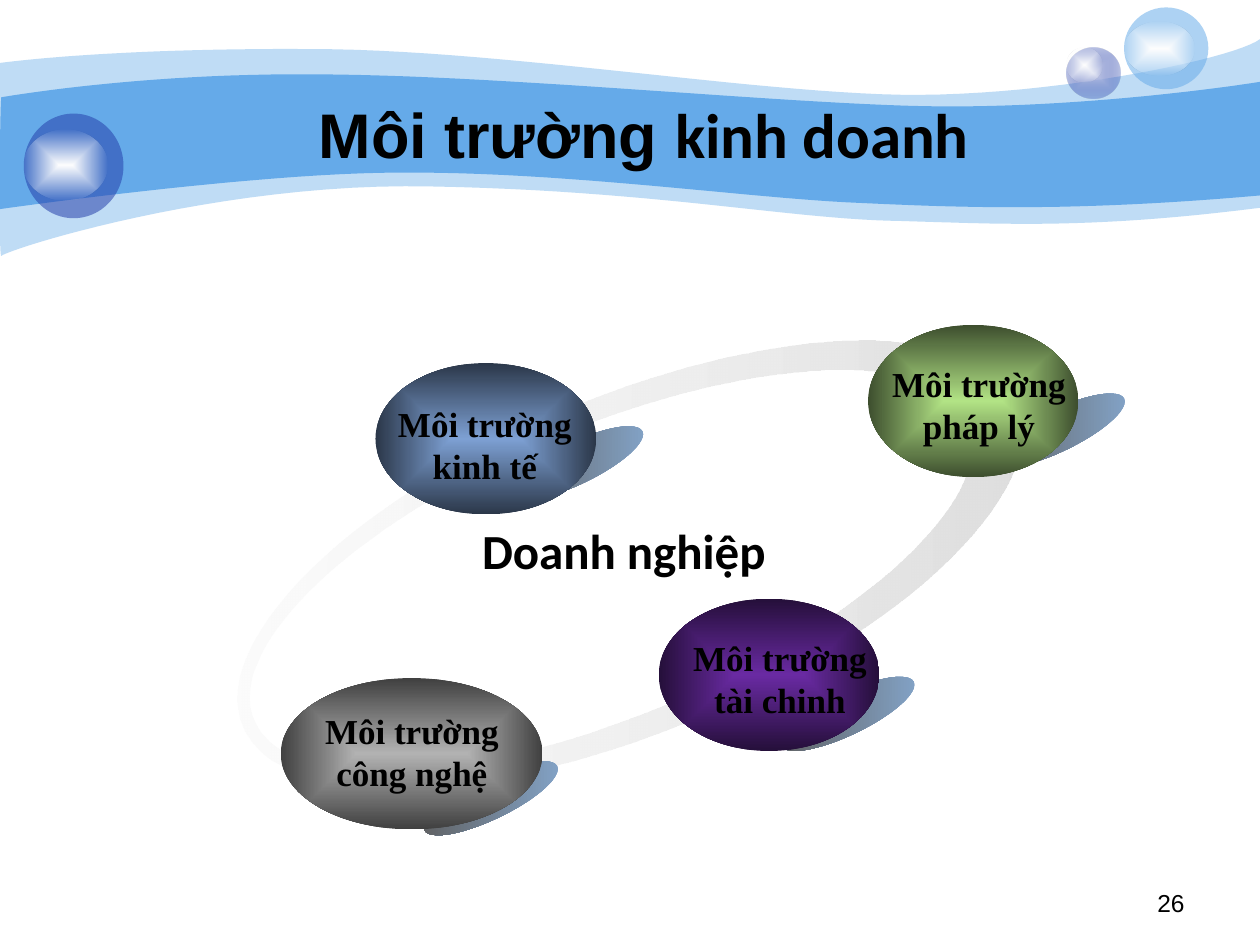
import math
import lxml.etree
import pptx
import pptx.util
import pptx.dml.color
import pptx.enum.shapes
import pptx.enum.text
import pptx.oxml.ns

Cm = pptx.util.Cm
qn = pptx.oxml.ns.qn
ALIGN = pptx.enum.text.PP_ALIGN
ANCHOR = pptx.enum.text.MSO_ANCHOR

HUES = {
    "sky": "65AAE9", "navy": "233DA9", "pale": "C7CEE9", "white": "FFFFFF",
    "ring": "DDDDDD", "mist": "F5F5F5", "steel": "84A5CA", "ash": "5F5F5F",
    "blue": "7DA0D3", "ink": "2B3749", "grey": "B2B2B2", "coal": "404040",
    "plum": "692AA2", "dusk": "250F3A", "lime": "B2E385", "moss": "3D4E2E",
    "black": "000000",
}


def curve(start, *steps):
    """Points along a path; a step is one point (line) or three (Bezier)."""
    dots = [start]
    for step in steps:
        if len(step) == 1:
            dots.append(step[0])
            continue
        quad = (dots[-1],) + step
        for i in range(1, 25):
            t = i / 24
            mix = ((1 - t) ** 3, 3 * t * (1 - t) ** 2, 3 * t * t * (1 - t), t ** 3)
            dots.append(tuple(sum(m * p[k] for m, p in zip(mix, quad)) for k in (0, 1)))
    return dots


def oval(x, y, a, b, turn=1):
    """Points round an ellipse; turn -1 runs the other way."""
    arcs = [turn * math.tau * i / 120 for i in range(120)]
    return [(x + a * math.cos(t), y + b * math.sin(t)) for t in arcs]


class Deck:
    def __init__(self):
        self.show = pptx.Presentation()
        self.show.slide_width, self.show.slide_height = Cm(25.4), Cm(19.05)
        self.slide = self.show.slides.add_slide(self.show.slide_layouts[6])

    def paint(self, shape, stops, angle=None):
        """Fill with (hue, alpha) stops: one is plain, two fade.

        Without an angle, the fade runs out from the centre.
        """
        shape.shadow.inherit = False
        shape.line.fill.background()
        if len(stops) == 1:
            shape.fill.solid()
            shape.fill.fore_color.rgb = pptx.dml.color.RGBColor.from_string(HUES[stops[0][0]])
            tints = [shape._element.spPr.find(".//" + qn("a:srgbClr"))]
        else:
            fade = lxml.etree.Element(qn("a:gradFill"), rotWithShape="1")
            shape._element.spPr.insert(2, fade)
            row = lxml.etree.SubElement(fade, qn("a:gsLst"))
            tints = []
            for spot, (hue, _) in zip(("0", "100000"), stops):
                stop = lxml.etree.SubElement(row, qn("a:gs"), pos=spot)
                tints.append(lxml.etree.SubElement(stop, qn("a:srgbClr"), val=HUES[hue]))
            if angle is None:
                way = lxml.etree.SubElement(fade, qn("a:path"), attrib={"path": "rect"})
                sides = dict.fromkeys("ltrb", "50000")
                lxml.etree.SubElement(way, qn("a:fillToRect"), attrib=sides)
            else:
                lxml.etree.SubElement(fade, qn("a:lin"), ang=str(angle * 60000), scaled="1")
        for tint, (_, alpha) in zip(tints, stops):
            if alpha < 100:
                lxml.etree.SubElement(tint, qn("a:alpha"), val=str(alpha * 1000))

    def ball(self, box, stops, angle=None, tilt=0):
        kind = pptx.enum.shapes.MSO_SHAPE.OVAL
        shape = self.slide.shapes.add_shape(kind, *map(Cm, box))
        shape.rotation = tilt
        self.paint(shape, stops, angle)

    def form(self, loops, stops, angle=None, tilt=0):
        loops = [[(Cm(x), Cm(y)) for x, y in loop] for loop in loops]
        pen = self.slide.shapes.build_freeform(*loops[0][0])
        pen.add_line_segments(loops[0][1:], close=True)
        for loop in loops[1:]:
            pen.move_to(*loop[0])
            pen.add_line_segments(loop[1:], close=True)
        shape = pen.convert_to_shape()
        shape.rotation = tilt
        self.paint(shape, stops, angle)

    def text(self, box, lines, size, bold=True, align=ALIGN.CENTER,
             wrap=True, anchor=ANCHOR.TOP):
        """Each line is a list of (words, font) runs."""
        frame = self.slide.shapes.add_textbox(*map(Cm, box)).text_frame
        frame.word_wrap, frame.vertical_anchor = wrap, anchor
        for i, line in enumerate(lines):
            para = frame.add_paragraph() if i else frame.paragraphs[0]
            para.alignment = align
            for words, face in line:
                run = para.add_run()
                run.text = words
                run.font.name, run.font.bold = face, bold
                run.font.size = pptx.util.Pt(size)
                run.font.color.rgb = pptx.dml.color.RGBColor.from_string(HUES["black"])


def main():
    deck = Deck()

    # Banner waves
    deck.form([curve(
        (0, 1.27),
        ((0.61, 1.19), (2.72, 0.97), (6.27, 0.99)),
        ((9.8, 0.99), (14.6, 1.78), (17.75, 1.9)),
        ((20.88, 2.03), (24.89, 1.19), (25.4, 0.79)),
        ((25.4, 4.19),),
        ((21.79, 4.65), (19.99, 4.5), (17.91, 4.45)),
        ((15.8, 4.39), (13.08, 3.84), (8.71, 3.76)),
        ((4.37, 3.66), (0.1, 5.05), (0.03, 5.16)),
        ((-0.03, 5.28), (0, 1.9), (0, 1.27)))], [("sky", 41)])
    deck.form([curve(
        (0.03, 1.96),
        ((0.05, 1.96), (2.79, 1.47), (6.3, 1.5)),
        ((9.8, 1.5), (15.11, 2.03), (18.24, 2.13)),
        ((21.36, 2.24), (24.79, 1.75), (25.4, 1.65)),
        ((25.4, 3.94),),
        ((21.67, 4.27), (19.43, 4.19), (17.32, 4.09)),
        ((15.21, 4.01), (11.35, 3.45), (8.05, 3.48)),
        ((5.16, 3.48), (-0.05, 4.22), (-0.03, 4.22)),
        ((0, 4.22), (0, 1.96), (0.03, 1.96)))], [("sky", 100)])

    # Glossy balls
    gloss = [("white", 100), ("white", 0)]
    for box, stops, shine in (
            ((21.51, 0.97, 1.07, 1.02), [("pale", 100), ("navy", 31)], (21.51, 0.97, 0.71, 0.69)),
            ((22.66, 0.15, 1.7, 1.65), [("sky", 53)], (22.66, 0.43, 1.42, 1.09)),
            ((0.48, 2.29, 2.01, 2.11), [("navy", 53)], (0.48, 2.62, 1.68, 1.42))):
        deck.ball(box, stops)
        deck.ball(shine, gloss)

    # Title
    deck.text((2.72, 1.9, 20.52, 1.57),
              [[("Môi trường ", "Arial"), ("kinh doanh", "Calibri")]],
              36, anchor=ANCHOR.MIDDLE)

    # Tilted ring
    deck.form([oval(12.7, 11.37, 8.46, 3.37), oval(12.3, 11.34, 7.8, 2.91, -1)],
              [("ring", 100), ("mist", 36)], 203, -22.6)

    # Shadows under the nodes
    for x, y in ((10.13, 8.92), (19.84, 8.26), (8.41, 15.67), (15.6, 13.97)):
        deck.ball((x, y, 2.97, 0.84), [("steel", 100), ("ash", 100)], 206, -25.7)

    # Nodes and their labels
    nodes = (
        ((7.57, 7.32, 4.45, 3.05), "blue", "ink", (7.77, 7.98), "kinh tế"),
        ((5.66, 13.67, 5.28, 3.05), "grey", "coal", (6.3, 14.17), "công nghệ"),
        ((13.28, 12.07, 4.45, 3.07), "plum", "dusk", (13.72, 12.7), "tài chinh"),
        ((17.5, 6.55, 4.24, 3.07), "lime", "moss", (17.73, 7.19), "pháp lý"),
    )
    for box, core, rim, spot, name in nodes:
        deck.ball(box, [(core, 100), (rim, 100)])
        lines = [[(words, "Times New Roman")] for words in ("Môi trường", name)]
        deck.text((*spot, 4.01, 1.96), lines, 20, wrap=False)

    # Centre label and page number
    deck.text((8.84, 10.36, 7.47, 1.45), [[("Doanh nghiệp", "Calibri")]], 28)
    deck.text((18.21, 17.78, 5.92, 0.89), [[("26", "Arial")]], 14,
              bold=False, align=ALIGN.RIGHT)

    deck.show.save("out.pptx")


if __name__ == "__main__":
    main()
